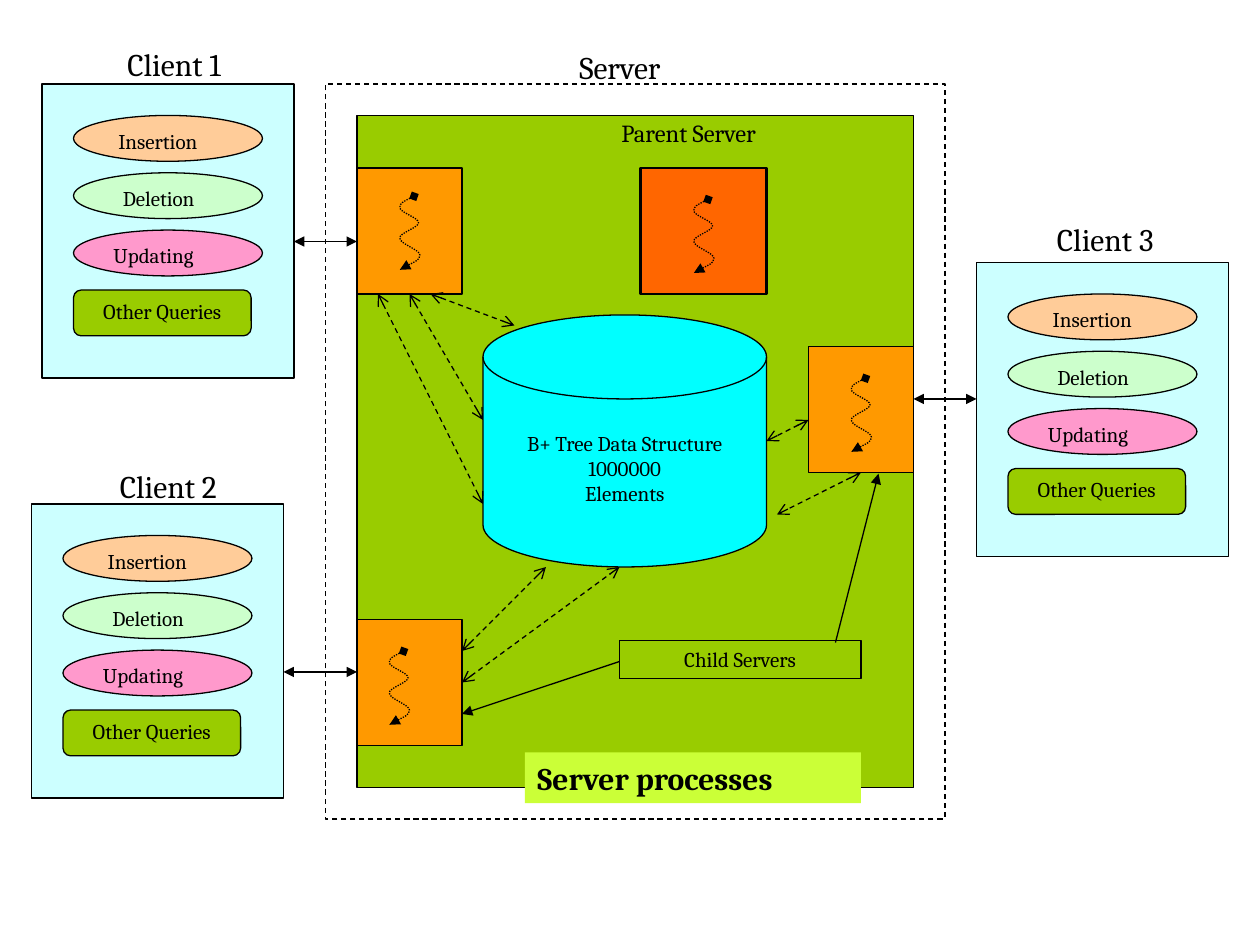
from pptx import Presentation
from pptx.util import Pt
from pptx.dml.color import RGBColor
from pptx.enum.dml import MSO_LINE as DASH
from pptx.enum.shapes import MSO_SHAPE as SHAPE, MSO_CONNECTOR as CONN
from pptx.enum.text import PP_ALIGN as ALIGN, MSO_ANCHOR as ANCHOR
from lxml.etree import SubElement
from pptx.oxml.ns import qn

rgb = RGBColor.from_string
BLACK, GREEN, ORANGE, PALE_BLUE = "000000", "99CC00", "FF9900", "CCFFFF"

prs = Presentation()
prs.slide_width, prs.slide_height = Pt(720), Pt(540)
s = prs.slides.add_slide(prs.slide_layouts[6])


def add_box(kind, x, y, w, h, fill=None, line=0.75, text="", size=12,
            align=ALIGN.LEFT, bold=False):
    """Add a preset shape, or a text box when kind is None."""
    at = Pt(x), Pt(y), Pt(w), Pt(h)
    if kind is None:
        sp = s.shapes.add_textbox(*at)
    else:
        sp = s.shapes.add_shape(kind, *at)
        sp.shadow.inherit = False
        if fill:
            sp.fill.solid()
            sp.fill.fore_color.rgb = rgb(fill)
        else:
            sp.fill.background()
        if line:
            sp.line.color.rgb = rgb(BLACK)
            sp.line.width = Pt(line)
        else:
            sp.line.fill.background()
    if text:
        tf = sp.text_frame
        tf.word_wrap = True
        tf.vertical_anchor = ANCHOR.TOP
        tf.text = text
        for p in tf.paragraphs:
            p.alignment = align
            for r in p.runs:
                r.font.name, r.font.size, r.font.bold = "Cambria", Pt(size), bold
                r.font.color.rgb = rgb(BLACK)
    return sp


def style_line(sp, dash=None, head=None, tail=None):
    """Give a line its colour, dash and arrowheads."""
    sp.line.color.rgb = rgb(BLACK)
    sp.line.width = Pt(0.75)
    if dash:
        sp.line.dash_style = dash
    ln = sp.line._get_or_add_ln()
    for tag, end in (("a:headEnd", head), ("a:tailEnd", tail)):
        if end:
            SubElement(ln, qn(tag), type=end)


# Parent server area and the database cylinder
add_box(SHAPE.RECTANGLE, 204, 66, 318, 384, GREEN)
sp = add_box(SHAPE.FLOWCHART_MAGNETIC_DISK, 276, 180, 162, 144, "00FFFF",
             text="B+ Tree Data Structure\n1000000\nElements", align=ALIGN.CENTER)
sp.text_frame.margin_top = Pt(18)

# Clients: panel corner, then label corner
clients = [("Client 1", 24, 48, 65.7, 22.4),
           ("Client 2", 18, 288, 61.4, 263.6),
           ("Client 3", 558, 150, 596.9, 122)]
operations = [("Insertion", "FFCC99", 2.6), ("Deletion", "CCFFCC", 5.2), ("Updating", "FF99CC", 0)]
for name, x, y, label_x, label_y in clients:
    add_box(SHAPE.RECTANGLE, x, y, 144, 168, PALE_BLUE)
    for i, (operation, fill, indent) in enumerate(operations):
        sp = add_box(SHAPE.OVAL, x + 18, y + 18 + 32.75 * i, 108, 26.2, fill, text=operation)
        sp.text_frame.margin_left = Pt(7.2 + indent)
    add_box(SHAPE.ROUNDED_RECTANGLE, x + 18, y + 117.75, 101.5, 26.2, GREEN,
            text="Other Queries", align=ALIGN.CENTER)
    add_box(None, label_x, label_y, 78, 50, text=name, size=18)

# Server boxes, captions and outer frame
add_box(None, 324, 24, 78, 29, text="Server", size=18)
for x, y in [(204, 96), (462, 198), (204, 354)]:
    add_box(SHAPE.RECTANGLE, x, y, 60, 72, ORANGE)
add_box(SHAPE.RECTANGLE, 366, 96, 72, 72, "FF6600", line=1.5)
add_box(SHAPE.RECTANGLE, 300, 430, 192, 29, "CBFF37", line=0,
        text="Server processes", size=18, bold=True)
sp = add_box(SHAPE.RECTANGLE, 186, 48, 354, 420)
sp.line.dash_style = DASH.DASH
add_box(SHAPE.RECTANGLE, 354, 366, 138, 21.8, text="Child Servers", align=ALIGN.CENTER)
add_box(None, 348, 64, 138, 24.5, text="Parent Server", size=14)

# Arrows: clients to servers, servers to database, caption to child servers
arrow_sets = [
    (None, "triangle", "triangle",
     [(168, 138, 204, 138), (162, 384, 204, 384), (522, 228, 558, 228)]),
    (DASH.DASH, "arrow", "arrow",
     [(216, 168, 276, 288), (234, 168, 276, 240), (246, 168, 294, 186),
      (264, 390, 354, 324), (492, 270, 444, 294), (264, 372, 312, 324),
      (462, 240, 438, 252)]),
    (None, None, "triangle",
     [(354, 378, 264, 408), (477.4, 367.2, 502, 270.7)]),
]
for dash, head, tail, arrows in arrow_sets:
    for ends in arrows:
        c = s.shapes.add_connector(CONN.STRAIGHT, *map(Pt, ends))
        style_line(c, dash, head, tail)
        SubElement(c._element.spPr, qn("a:effectLst"))

# Wavy thread in each server: a start point, then three points per Bezier curve
wave = [(8.6, 0),
        (4.3, 2), (0, 4.2), (0.5, 6.5),
        (0.5, 9.2), (11.2, 12.2), (11.2, 15.1),
        (11.2, 18), (0, 20.9), (0.5, 24),
        (0.5, 27.2), (12, 30.5), (12, 33.6),
        (12, 36.6), (2.5, 40.5), (0.5, 42)]
for x, y in [(228, 112.2), (222, 372.2), (486, 216.2), (396, 114)]:
    points = [(Pt(x + dx), Pt(y + dy)) for dx, dy in wave]
    fb = s.shapes.build_freeform(*points[0])
    fb.add_line_segments(points[1:], close=False)
    sp = fb.convert_to_shape()
    sp.shadow.inherit = False
    sp.fill.background()
    style_line(sp, DASH.ROUND_DOT, "diamond", "triangle")
    # Turn each three line steps into one curve
    steps = list(sp._element.iter(qn("a:lnTo")))
    outline = steps[0].getparent()
    for i, step in enumerate(steps):
        if i % 3 == 0:
            curve = SubElement(outline, qn("a:cubicBezTo"))
        curve.append(step[0])
        outline.remove(step)

prs.save("out.pptx")
